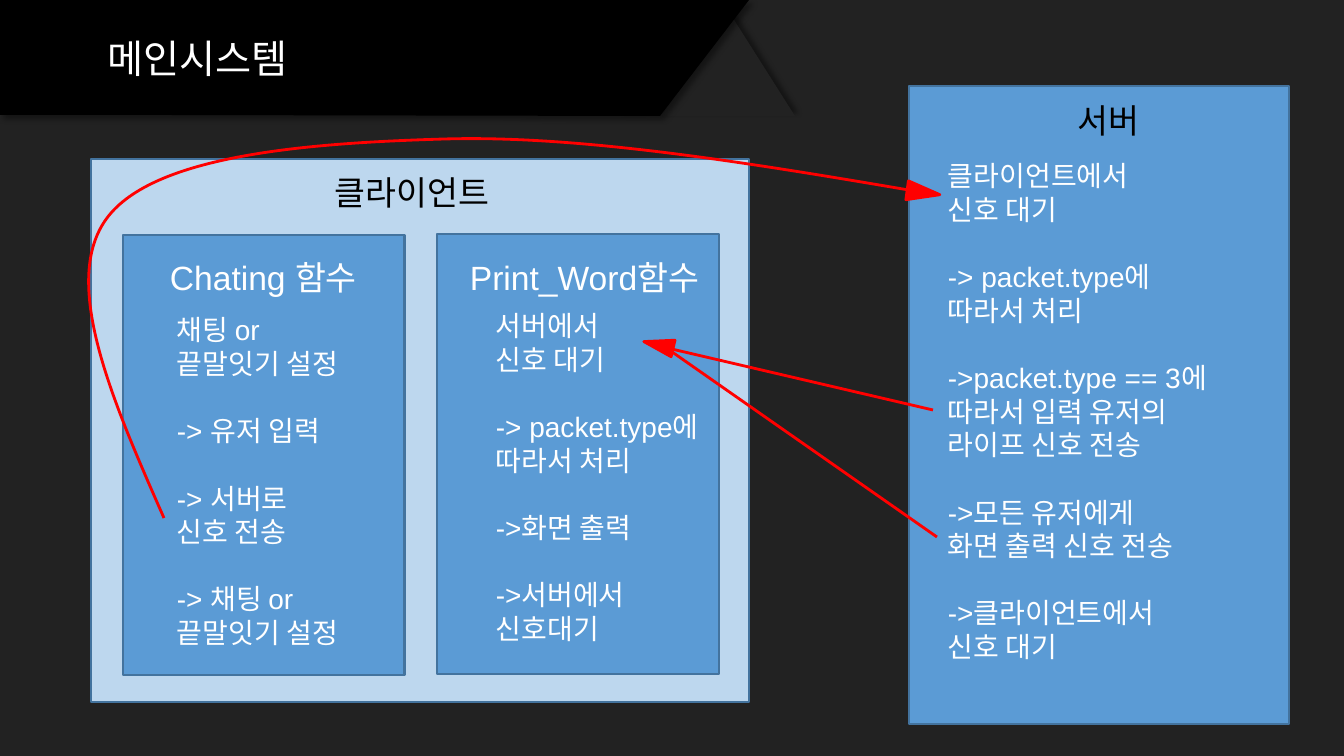
from lxml.etree import SubElement
from pptx import Presentation
from pptx.dml.color import RGBColor
from pptx.enum.shapes import MSO_CONNECTOR, MSO_SHAPE
from pptx.oxml.ns import qn
from pptx.util import Pt

SCALE = 12192000 / 1344
WHITE, BLACK, DARK = "FFFFFF", "000000", "222222"
BLUE, PALE, EDGE, RED = "5B9BD5", "BDD7EE", "43739E", "FF0000"

CHAT = [["채팅 or ", "끝말잇기 설정"], ["-> 유저 입력"],
        ["-> 서버로 ", "신호 전송"], ["-> 채팅 or", "끝말잇기 설정"]]
PRINT = [["서버에서", "신호 대기"], ["-> packet.type에", "따라서 처리"],
         ["->화면 출력"], ["->서버에서", "신호대기"]]
SERVER = [["클라이언트에서 ", "신호 대기"], ["-> packet.type에", "따라서 처리"],
          ["->packet.type == 3에 따라서 입력 유저의", "라이프 신호 전송"],
          ["->모든 유저에게 ", "화면 출력 신호 전송"],
          ["->클라이언트에서 ", "신호 대기"]]


def px(*nums):
    """Turn pixels into EMU."""
    return [round(n * SCALE) for n in nums]


def color(code):
    """Turn a hex string into a colour."""
    return RGBColor.from_string(code)


def paint(shape, fill=None, line=None):
    """Set fill and outline, and drop the theme shadow."""
    shape.shadow.inherit = False
    if fill:
        shape.fill.solid()
        shape.fill.fore_color.rgb = color(fill)
    else:
        shape.fill.background()
    if line:
        shape.line.color.rgb = color(line)
        shape.line.width = Pt(2)
    else:
        shape.line.fill.background()


def shade(shape, angle):
    """Cast a soft black shadow at an angle in degrees."""
    effects = shape._element.spPr.find(qn("a:effectLst"))
    outer = SubElement(effects, qn("a:outerShdw"), blurRad=str(Pt(4)),
                       dist=str(Pt(3)), dir=str(angle * 60000), rotWithShape="0")
    tint = SubElement(outer, qn("a:srgbClr"), val=BLACK)
    SubElement(tint, qn("a:alpha"), val="40000")


def write(slide, box, groups, size, ink):
    """Write groups of lines, with one line of space between groups."""
    frame = slide.shapes.add_textbox(*px(*box)).text_frame
    frame.word_wrap = True
    lines = [(text, i > 0 and j == 0) for i, group in enumerate(groups)
             for j, text in enumerate(group)]
    for n, (text, gap) in enumerate(lines):
        para = frame.add_paragraph() if n else frame.paragraphs[0]
        para.text = text
        para.font.name, para.font.size = "Arial", Pt(size)
        para.font.color.rgb = color(ink)
        if gap:
            para.space_before = Pt(size * 1.2)


def outline(slide, points, closed):
    """Build a freeform through the points."""
    form = slide.shapes.build_freeform(*points[0], scale=SCALE)
    form.add_line_segments(points[1:], close=closed)
    return form.convert_to_shape()


def banner(slide, box):
    """Draw the title band with its slanted end and folded corner."""
    x, y, w, h = box
    fold = slide.shapes.add_shape(MSO_SHAPE.ISOSCELES_TRIANGLE,
                                  *px(x + w - 87, y + 11, 133, 105))
    paint(fold, DARK)
    shade(fold, 315)
    band = outline(slide, [(x, y), (x + w, y), (x + w - 89, y + h),
                           (x + 156, y + h - 1), (x, y + h - 1)], True)
    paint(band, BLACK)
    shade(band, 45)
    write(slide, (x + 98, y + 29, 388, 57), [["메인시스템"]], 28, WHITE)


def panel(slide, box, fill, title, ink, shift, body=(), start=(0, 0), wide=250):
    """Draw a box with a heading and steps, both offset from its corner."""
    x, y = box[:2]
    paint(slide.shapes.add_shape(MSO_SHAPE.RECTANGLE, *px(*box)), fill, EDGE)
    write(slide, (x + shift[0], y + shift[1], 269, 50), [[title]], 24, ink)
    if body:
        write(slide, (x + start[0], y + start[1], wide, box[3] - start[1]),
              body, 20, WHITE)


def client(slide, box):
    """Draw the client with its two functions."""
    x, y = box[:2]
    panel(slide, box, PALE, "클라이언트", BLACK, (234, 8))
    panel(slide, (x + 32, y + 76, 282, 440), BLUE, "Chating 함수", WHITE,
          (37, 17), CHAT, (44, 73))
    panel(slide, (x + 346, y + 75, 282, 440), BLUE, "Print_Word함수", WHITE,
          (23, 18), PRINT, (49, 70))


def curve(slide, points):
    """Draw a smooth line: a start, then two handles and an end per part."""
    shape = outline(slide, points, False)
    paint(shape, None, RED)
    route = shape._element.find(".//" + qn("a:path"))
    steps = route.findall(qn("a:lnTo"))
    for i in range(0, len(steps), 3):
        bend = SubElement(route, qn("a:cubicBezTo"))
        for step in steps[i:i + 3]:
            bend.append(step[0])
            route.remove(step)


def head(slide, box, turn):
    """Draw a turned arrowhead."""
    tip = slide.shapes.add_shape(MSO_SHAPE.ISOSCELES_TRIANGLE, *px(*box))
    tip.rotation = turn
    paint(tip, RED, RED)


def link(slide, *ends):
    """Draw a straight red line."""
    line = slide.shapes.add_connector(MSO_CONNECTOR.STRAIGHT, *px(*ends))
    line.line.color.rgb = color(RED)
    line.line.width = Pt(2)
    SubElement(line._element.spPr, qn("a:effectLst"))


def signals(slide):
    """Draw the signals between client and server."""
    curve(slide, [(164, 518), (112, 400), (60, 281), (107, 218),
                  (154, 155), (307, 143), (445, 139),
                  (583, 135), (757, 164), (932, 194)])
    head(slide, (914, 176, 19, 33), 97.7)
    link(slide, 663, 347, 933, 410)
    head(slide, (650, 330, 17, 30), 283.3)
    link(slide, 665, 347, 937, 537)


deck = Presentation()
deck.slide_width, deck.slide_height = px(1344, 756)
page = deck.slides.add_slide(deck.slide_layouts[6])
page.background.fill.solid()
page.background.fill.fore_color.rgb = color(DARK)
banner(page, (0, 0, 749, 116))
client(page, (91, 159, 658, 543))
panel(page, (909, 86, 380, 638), BLUE, "서버", BLACK, (159, 9),
      SERVER, (29, 68), 351)
signals(page)
deck.save("out.pptx")
